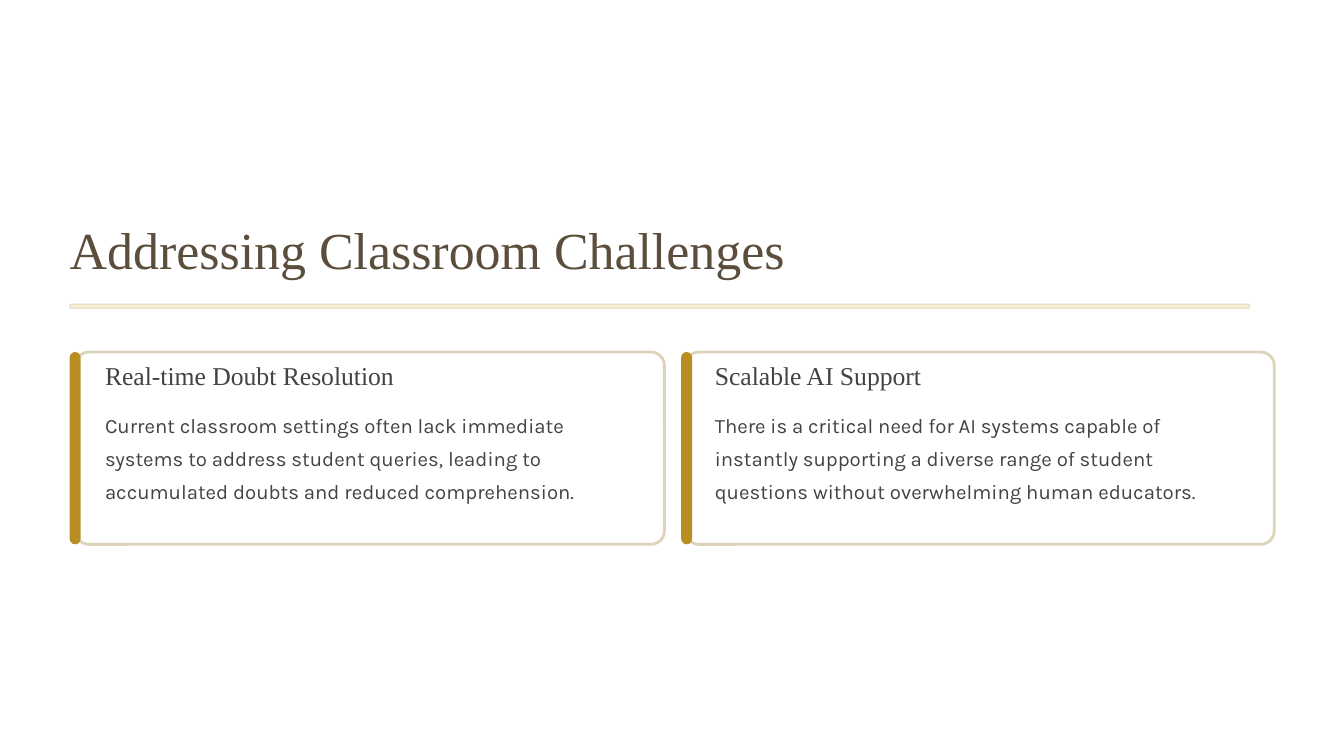
"""Build the slide on classroom challenges with two outlined cards."""
from pptx import Presentation
from pptx.dml.color import RGBColor
from pptx.enum.shapes import MSO_SHAPE
from pptx.util import Inches, Pt

ROUNDED = MSO_SHAPE.ROUNDED_RECTANGLE
BROWN = RGBColor(0x5C, 0x4E, 0x3D)
CHARCOAL = RGBColor(0x45, 0x42, 0x40)
SAND = RGBColor(0xDD, 0xD3, 0xBA)
CREAM = RGBColor(0xF7, 0xED, 0xD4)
GOLD = RGBColor(0xB8, 0x8E, 0x23)
SERIF = "Times New Roman"
SANS = "Karla"

TITLE = "Addressing Classroom Challenges"
CARDS = [
    {"left": 0.9, "accent_left": 0.83, "heading": "Real-time Doubt Resolution",
     "body": "Current classroom settings often lack immediate systems to address "
             "student queries, leading to accumulated doubts and reduced comprehension."},
    {"left": 8.16, "accent_left": 8.11, "heading": "Scalable AI Support",
     "body": "There is a critical need for AI systems capable of instantly supporting "
             "a diverse range of student questions without overwhelming human educators."},
]

MARGIN = 0.83
CARD_TOP, CARD_WIDTH, CARD_HEIGHT = 4.19, 7.01, 2.29
ACCENT_WIDTH = 0.13
TEXT_INDENT, TEXT_WIDTH = 0.35, 6.35


def add_rounded(slide, box, corner, fill=None, line=None, line_width=0):
    shape = slide.shapes.add_shape(ROUNDED, *map(Inches, box))
    shape.shadow.inherit = False
    shape.adjustments[0] = corner
    if fill is None:
        shape.fill.background()
    else:
        shape.fill.solid()
        shape.fill.fore_color.rgb = fill
    if line is None:
        shape.line.fill.background()
    else:
        shape.line.color.rgb = line
        shape.line.width = Pt(line_width)


def add_text(slide, box, text, font, size, color, leading, wrap=False):
    frame = slide.shapes.add_textbox(*map(Inches, box)).text_frame
    frame.word_wrap = wrap
    frame.margin_left = frame.margin_right = frame.margin_top = frame.margin_bottom = 0
    paragraph = frame.paragraphs[0]
    paragraph.line_spacing = Pt(leading)
    run = paragraph.add_run()
    run.text = text
    run.font.name = font
    run.font.size = Pt(size)
    run.font.color.rgb = color


def add_card(slide, card):
    text_left = card["left"] + TEXT_INDENT
    add_rounded(slide, (card["left"], CARD_TOP, CARD_WIDTH, CARD_HEIGHT), 0.07,
                line=SAND, line_width=2.4)
    add_rounded(slide, (card["accent_left"], CARD_TOP, ACCENT_WIDTH, CARD_HEIGHT), 0.5,
                fill=GOLD)
    add_text(slide, (text_left, CARD_TOP + 0.08, TEXT_WIDTH, 0.39), card["heading"],
             SERIF, 22, CHARCOAL, 27.5)
    add_text(slide, (text_left, CARD_TOP + 0.62, TEXT_WIDTH, 1.19), card["body"],
             SANS, 17.5, CHARCOAL, 28.5, wrap=True)


def main():
    deck = Presentation()
    deck.slide_width, deck.slide_height = Inches(16), Inches(9)
    slide = deck.slides.add_slide(deck.slide_layouts[6])
    add_text(slide, (MARGIN, 2.56, 10.7, 0.78), TITLE, SERIF, 44.5, BROWN, 55.5)
    for card in CARDS:
        add_card(slide, card)
    add_rounded(slide, (MARGIN, 3.62, 14.05, 0.05), 0.42, CREAM, SAND, 0.6)
    deck.save("out.pptx")


if __name__ == "__main__":
    main()
